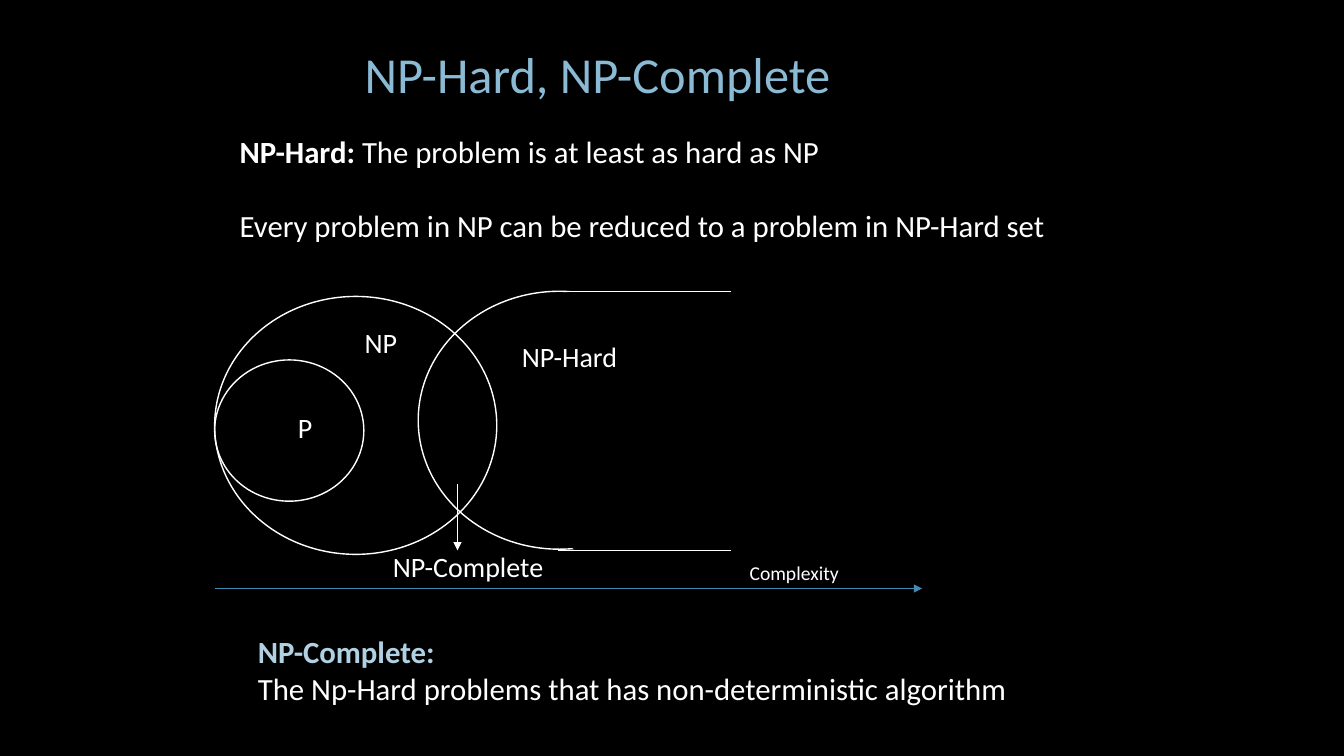
from lxml.etree import SubElement
from pptx import Presentation
from pptx.dml.color import RGBColor
from pptx.enum.shapes import MSO_CONNECTOR, MSO_SHAPE
from pptx.oxml.ns import qn
from pptx.util import Cm, Pt

WHITE, BLACK = "FFFFFF", "000000"
BLUE, SKY, PALE = "418AB3", "8ABAD4", "B1D1E3"


def rgb(color):
    return RGBColor.from_string(color)


def add_text(s, box, paragraphs, size, gap=0):
    """Each paragraph is a list of (text, color, bold) runs; gap is in points."""
    tf = s.shapes.add_textbox(*map(Cm, box)).text_frame
    tf.word_wrap = True
    for i, runs in enumerate(paragraphs):
        p = tf.paragraphs[0] if i == 0 else tf.add_paragraph()
        if i and gap:
            p.space_before = Pt(gap)
        for text, color, bold in runs:
            r = p.add_run()
            r.text = text
            r.font.name = "Calibri"
            r.font.size = Pt(size)
            r.font.bold = bold
            r.font.color.rgb = rgb(color)


def add_label(s, box, text, size=20, color=WHITE):
    add_text(s, box, [[(text, color, False)]], size)


def add_ellipse(s, box, line=WHITE, fill=None):
    sp = s.shapes.add_shape(MSO_SHAPE.OVAL, *map(Cm, box))
    sp.shadow.inherit = False
    sp.line.color.rgb = rgb(line)
    sp.line.width = Pt(1)
    if fill:
        sp.fill.solid()
        sp.fill.fore_color.rgb = rgb(fill)
    else:
        sp.fill.background()


def add_line(s, ends, color=WHITE, width=1, arrow=False):
    cx = s.shapes.add_connector(MSO_CONNECTOR.STRAIGHT, *map(Cm, ends))
    cx.line.color.rgb = rgb(color)
    cx.line.width = Pt(width)
    if arrow:
        SubElement(cx.line._get_or_add_ln(), qn("a:tailEnd"), type="triangle")
    SubElement(cx._element.spPr, qn("a:effectLst"))


def add_definitions(s):
    add_text(s, (5.79, 3.23, 22.71, 3.07), [
        [("NP-Hard: ", WHITE, True),
         ("The problem is at least as hard as NP", WHITE, False)],
        [("Every problem in NP can be reduced to a problem in NP-Hard set",
          WHITE, False)],
    ], 22, gap=26.5)
    add_text(s, (6.25, 15.82, 22.45, 2.13), [
        [("NP-Complete:", PALE, True)],
        [("The Np-Hard problems that has non-deterministic algorithm",
          WHITE, False)],
    ], 22)


def add_diagram(s):
    left, set_w, set_h = 5.41, 7.11, 6.5
    hard_top = 7.34
    hard_bottom = hard_top + set_h + 0.03

    add_ellipse(s, (left, 7.47, set_w, set_h))
    add_ellipse(s, (left, 9.07, 3.76, 3.56))
    add_label(s, (7.26, 10.21, 1.37, 1.12), "P")
    add_label(s, (8.94, 8.08, 1.78, 1.12), "NP")

    # The NP-Hard set is open to the right
    add_ellipse(s, (10.54, hard_top, set_w, set_h))
    add_line(s, (11.53, 12.19, 11.53, hard_bottom), width=0.5, arrow=True)
    add_line(s, (left, 14.83, 23.24, 14.83), BLUE, 0.5, arrow=True)
    add_label(s, (18.64, 14, 5.69, 0.86), "Complexity", 14)
    add_label(s, (9.65, 13.72, 5.69, 1.12), "NP-Complete")
    add_ellipse(s, (12.93, 6.86, 5.69, 7.37), BLACK, BLACK)
    add_label(s, (12.9, 8.43, 4.34, 1.12), "NP-Hard")
    for y in (hard_bottom, hard_top):
        add_line(s, (14.07, y, 18.42, y))


def main():
    prs = Presentation()
    prs.slide_width, prs.slide_height = Cm(33.87), Cm(19.05)
    s = prs.slides.add_slide(prs.slide_layouts[6])
    s.background.fill.solid()
    s.background.fill.fore_color.rgb = rgb(BLACK)
    add_definitions(s)
    add_diagram(s)
    add_label(s, (8.94, 0.97, 16.94, 1.8), "NP-Hard, NP-Complete", 36, SKY)
    prs.save("out.pptx")


if __name__ == "__main__":
    main()
